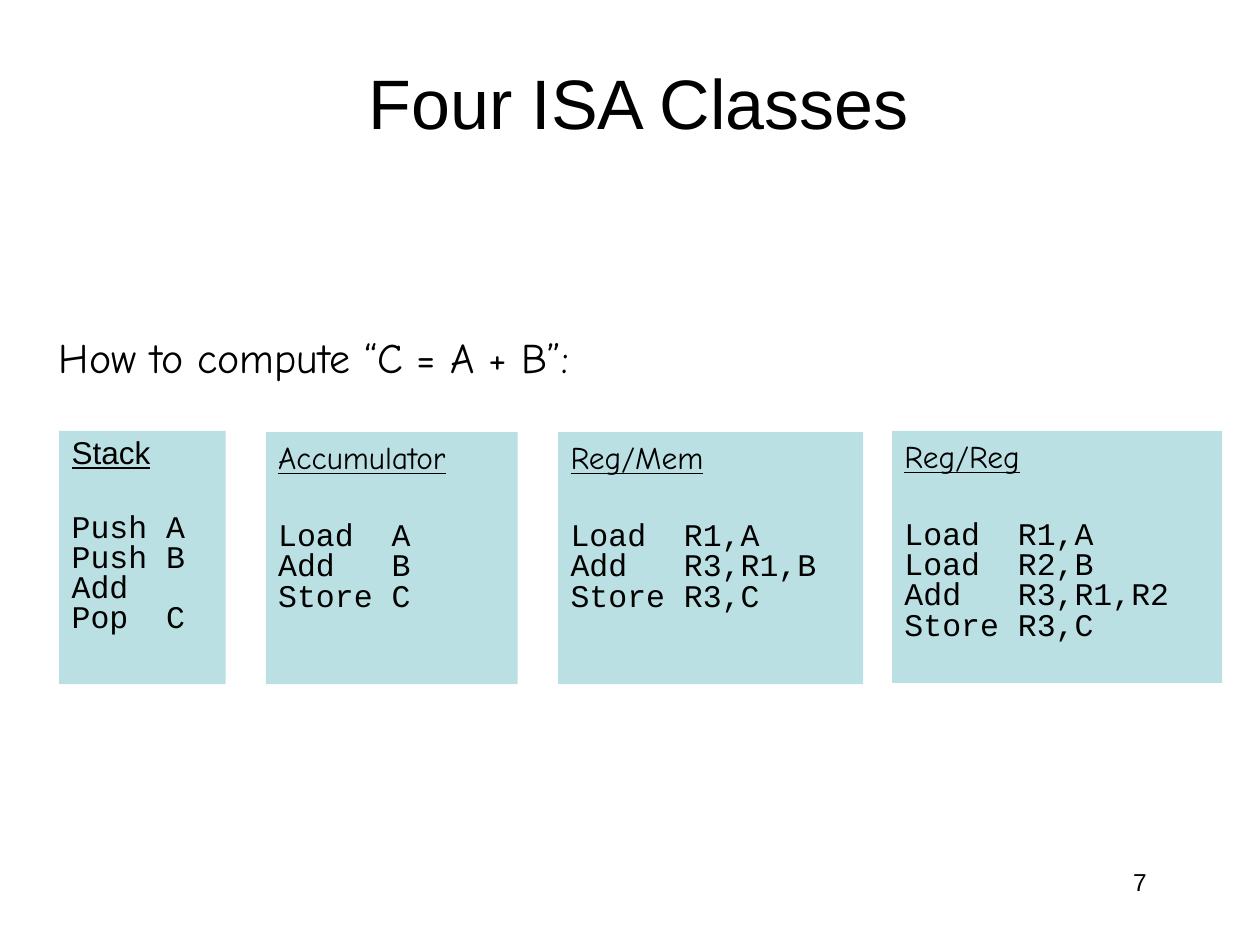
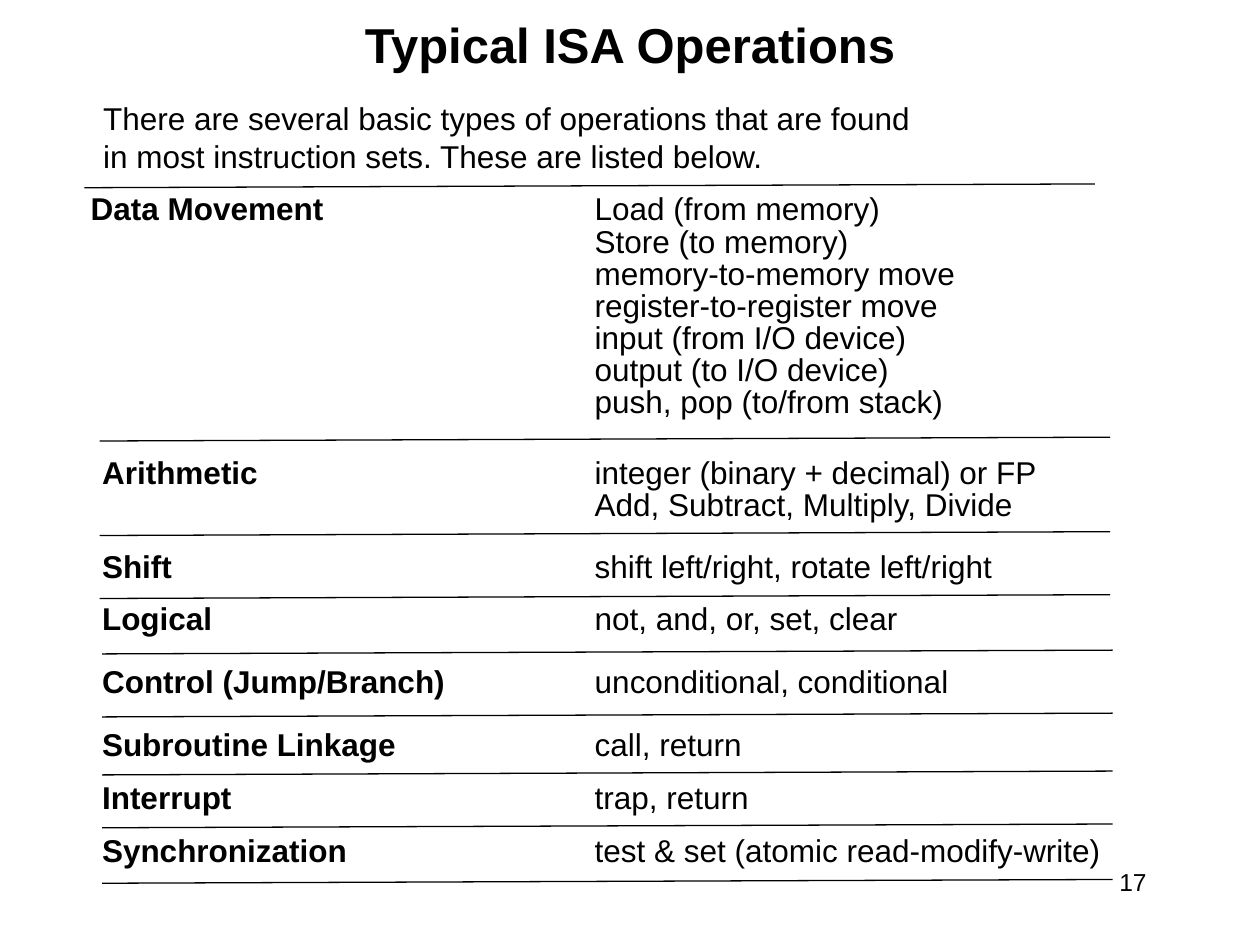
"""Build two slides on instruction set classes and typical operations."""
from pptx import Presentation
from pptx.dml.color import RGBColor
from pptx.enum.shapes import MSO_CONNECTOR, MSO_SHAPE
from pptx.enum.text import MSO_ANCHOR, PP_ALIGN
from pptx.oxml.ns import qn
from pptx.util import Inches, Pt
from lxml import etree

COLORS = {"text": "000000", "card": "BBE0E3", "rule": "000000"}
BODY_FONT, HAND_FONT, CODE_FONT = "Arial", "Comic Neue", "Courier New"


def write_text(frame, text, size=18, font=BODY_FONT, bold=False, underline=False,
               align=PP_ALIGN.LEFT, anchor=MSO_ANCHOR.TOP, wrap=True,
               insets=(0.1, 0.05, 0.1, 0.05), spacing=None, before=None, append=False):
    frame.word_wrap = wrap
    frame.vertical_anchor = anchor
    frame.margin_left, frame.margin_top, frame.margin_right, frame.margin_bottom = map(Inches, insets)
    for index, line in enumerate(text.split("\n")):
        new = append or index > 0
        paragraph = frame.add_paragraph() if new else frame.paragraphs[0]
        paragraph.alignment = align
        if spacing:
            paragraph.line_spacing = spacing
        if before and new:
            paragraph.space_before = Pt(before[min(index, len(before) - 1)])
        run = paragraph.add_run()
        run.text = line
        run.font.size = Pt(size)
        run.font.name = font
        run.font.bold = bold
        run.font.underline = underline
        run.font.color.rgb = RGBColor.from_string(COLORS["text"])


def add_text(slide, box, text, **style):
    shape = slide.shapes.add_textbox(*map(Inches, box))
    write_text(shape.text_frame, text, **style)


presentation = Presentation()
presentation.slide_width = Inches(10)
presentation.slide_height = Inches(7.5)
blank_layout = presentation.slide_layouts[6]

pages = [
    ("Four ISA Classes", (0.82, 0.18, 8.5, 1.25), 40, False, "7"),
    ("Typical ISA Operations", (0.5, 0, 9, 0.69), 28, True, "17"),
]
for title, title_box, title_size, title_bold, number in pages:
    slide = presentation.slides.add_slide(blank_layout)
    add_text(slide, title_box, title, size=title_size, bold=title_bold,
             align=PP_ALIGN.CENTER, anchor=MSO_ANCHOR.MIDDLE)
    add_text(slide, (7.17, 6.83, 2.08, 0.5), number, size=14, align=PP_ALIGN.RIGHT,
             insets=(0.1, 0.05, 0.15, 0.05))
classes_slide, operations_slide = presentation.slides

add_text(classes_slide, (0.37, 2.58, 6.24, 0.57), "How to compute “C = A + B”:",
         size=24, font=HAND_FONT)

cards = [
    ("Stack", "Push A\nPush B\nAdd\nPop  C", (0.47, 3.42, 1.32, 2.01), BODY_FONT, 0.9, 28),
    ("Accumulator", "Load  A\nAdd   B\nStore C", (2.11, 3.43, 2, 2), HAND_FONT, None, 30),
    ("Reg/Mem", "Load  R1,A\nAdd   R3,R1,B\nStore R3,C", (4.43, 3.43, 2.42, 2), HAND_FONT, None, 30),
    ("Reg/Reg", "Load  R1,A\nLoad  R2,B\nAdd   R3,R1,R2\nStore R3,C", (7.08, 3.42, 2.62, 2),
     HAND_FONT, None, 30),
]
for heading, code, box, heading_font, heading_spacing, code_gap in cards:
    card = classes_slide.shapes.add_shape(MSO_SHAPE.RECTANGLE, *map(Inches, box))
    card.shadow.inherit = False
    card.fill.solid()
    card.fill.fore_color.rgb = RGBColor.from_string(COLORS["card"])
    card.line.fill.background()
    write_text(card.text_frame, heading, font=heading_font, underline=True, spacing=heading_spacing)
    write_text(card.text_frame, code, font=CODE_FONT, spacing=0.6, before=(code_gap, 4.3), append=True)

add_text(operations_slide, (0.72, 0.74, 8.56, 0.71),
         "There are several basic types of operations that are found\n"
         "in most instruction sets. These are listed below.")

operations = [
    ("Data Movement", 0.65, 2.01,
     "Load (from memory)\nStore (to memory)\nmemory-to-memory move\nregister-to-register move\n"
     "input (from I/O device)\noutput (to I/O device)\npush, pop (to/from stack)", 3.03, 1.52),
    ("Arithmetic", 0.74, 1.39,
     "integer (binary + decimal) or FP\nAdd, Subtract, Multiply, Divide", 3.69, 3.61),
    ("Shift", 0.74, 0.7, "shift left/right, rotate left/right", 3.32, 4.36),
    ("Logical", 0.74, 1.02, "not, and, or, set, clear", 2.57, 4.77),
    ("Control (Jump/Branch)", 0.74, 2.89, "unconditional, conditional", 2.98, 5.27),
    ("Subroutine Linkage", 0.74, 2.5, "call, return", 1.32, 5.77),
    ("Interrupt", 0.74, 1.18, "trap, return", 1.38, 6.19),
    ("Synchronization", 0.74, 2.1, "test & set (atomic read-modify-write)", 4.19, 6.61),
]
row_style = {"insets": (0.07, 0.03, 0.07, 0.03), "spacing": 0.85, "wrap": False}
for name, name_left, name_width, examples, examples_width, top in operations:
    examples_height = 0.06 + 0.26 * len(examples.split("\n"))
    add_text(operations_slide, (name_left, top, name_width, 0.32), name, bold=True, **row_style)
    add_text(operations_slide, (4.65, top, examples_width, examples_height), examples, **row_style)

rules = [(0.67, 1.49), (0.79, 3.5), (0.79, 4.25), (0.79, 4.75), (0.81, 5.19),
         (0.81, 5.69), (0.81, 6.15), (0.81, 6.57), (0.81, 7.01)]
for left, bottom in rules:
    rule = operations_slide.shapes.add_connector(
        MSO_CONNECTOR.STRAIGHT, Inches(left), Inches(bottom), Inches(left + 8.02), Inches(bottom - 0.03))
    rule.line.color.rgb = RGBColor.from_string(COLORS["rule"])
    rule.line.width = Pt(0.75)
    etree.SubElement(rule._element.spPr, qn("a:effectLst"))

presentation.save("out.pptx")
